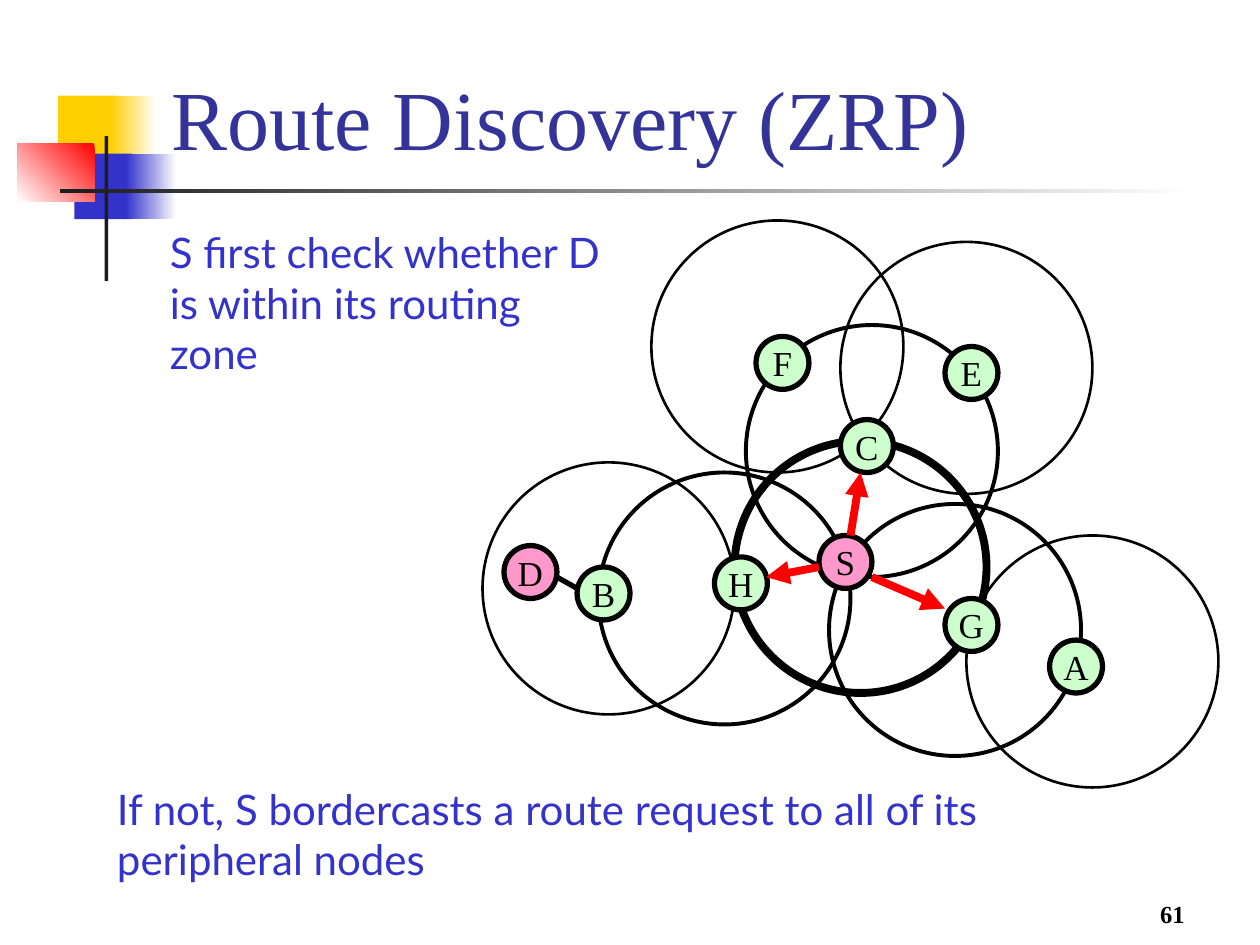
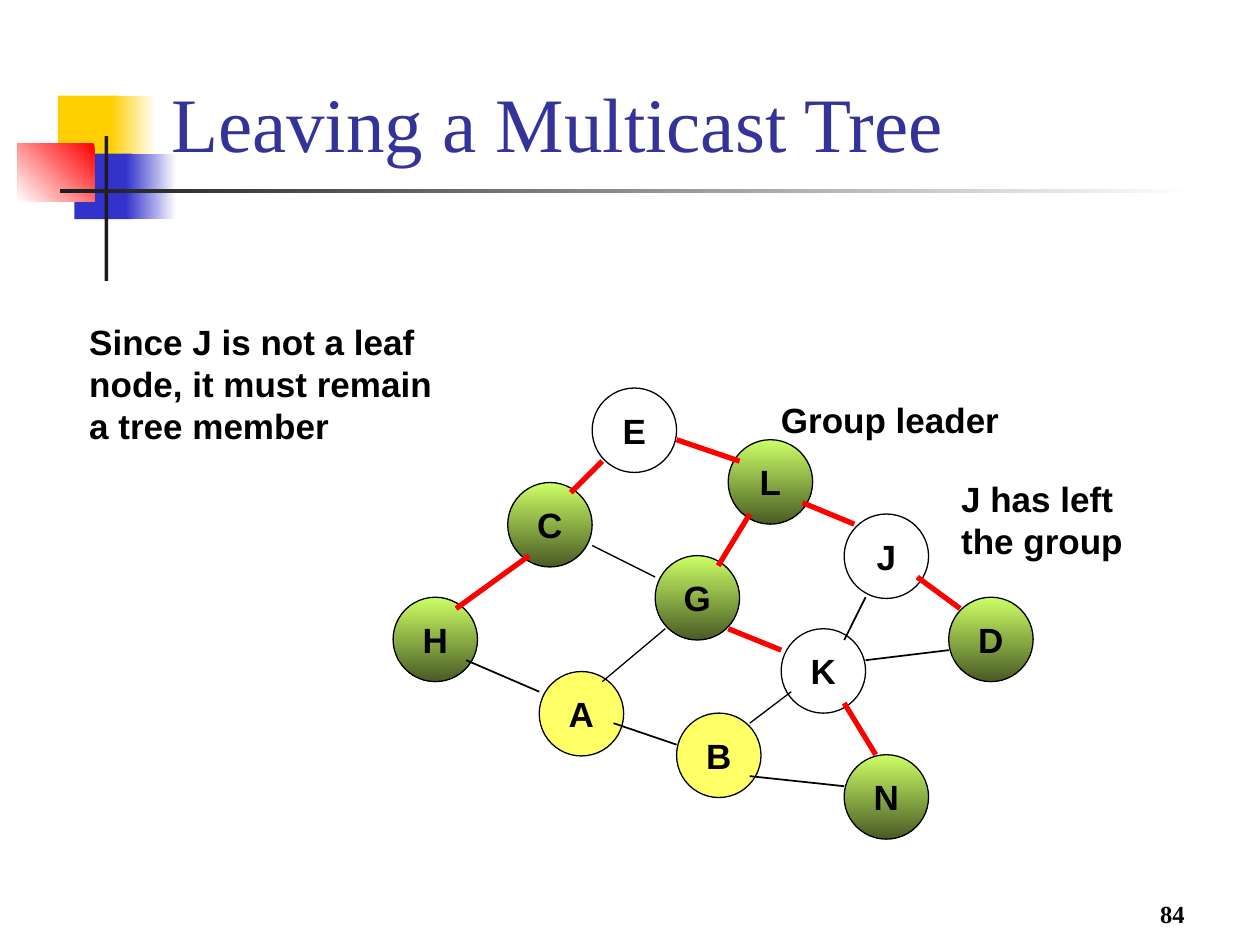
"""Two slides on ad hoc routing: zone route discovery and leaving a multicast tree."""
from dataclasses import dataclass

from lxml import etree
from pptx import Presentation
from pptx.dml.color import RGBColor
from pptx.enum.shapes import MSO_CONNECTOR, MSO_SHAPE
from pptx.enum.text import MSO_ANCHOR, PP_ALIGN
from pptx.oxml.ns import qn
from pptx.util import Inches, Pt

RECT, OVAL = MSO_SHAPE.RECTANGLE, MSO_SHAPE.OVAL
STRAIGHT = MSO_CONNECTOR.STRAIGHT
TOP, MIDDLE, BOTTOM = MSO_ANCHOR.TOP, MSO_ANCHOR.MIDDLE, MSO_ANCHOR.BOTTOM
LEFT, CENTER, RIGHT = PP_ALIGN.LEFT, PP_ALIGN.CENTER, PP_ALIGN.RIGHT


@dataclass(frozen=True)
class Gradient:
    """Two colours blended along a clockwise angle."""
    start: str
    end: str
    angle: int


Fill = str | Gradient | None


@dataclass(frozen=True)
class TextStyle:
    """Font of a whole text box."""
    font: str
    size: int
    color: str
    bold: bool = False


@dataclass(frozen=True)
class Theme:
    """Colours and type styles of the deck."""
    yellow: str = "FFCF01"
    blue: str = "3333CC"
    red: str = "FF0000"
    dark: str = "1C1C1C"
    white: str = "FFFFFF"
    black: str = "000000"
    pink: str = "FF99CC"
    mint: str = "CCFFCC"
    lemon: str = "FFFF66"
    member: Gradient = Gradient("CCFF66", "495B24", 90)
    title: TextStyle = TextStyle("Times New Roman", 48, "333399")
    long_title: TextStyle = TextStyle("Times New Roman", 44, "333399")
    body: TextStyle = TextStyle("Lato", 24, "3333CC")
    zone_node: TextStyle = TextStyle("Times New Roman", 20, "000000")
    tree_text: TextStyle = TextStyle("Arial", 20, "000000", True)
    number: TextStyle = TextStyle("Times New Roman", 14, "000000", True)


T = Theme()


@dataclass(frozen=True)
class Box:
    """Left, top, width and height in inches."""
    x: float
    y: float
    w: float
    h: float


@dataclass(frozen=True)
class Band:
    """One bar of the title ornament."""
    box: Box
    fill: Fill


@dataclass(frozen=True)
class Ring:
    """Radio range of one node."""
    x: float
    y: float
    weight: float


@dataclass(frozen=True)
class Node:
    """Lettered network node."""
    name: str
    x: float
    y: float
    fill: Fill


@dataclass(frozen=True)
class NodeStyle:
    """Look that the nodes of one diagram share."""
    size: float
    weight: float
    text: TextStyle


@dataclass(frozen=True)
class Link:
    """Straight link between two points."""
    x1: float
    y1: float
    x2: float
    y2: float
    color: str = T.black
    weight: float = 1
    arrow: bool = False


BANDS = [
    Band(Box(0.46, 0.76, 0.48, 0.52), T.yellow),
    Band(Box(0.88, 0.76, 0.36, 0.52), Gradient(T.white, T.yellow, 180)),
    Band(Box(0.59, 1.22, 0.46, 0.52), T.blue),
    Band(Box(1, 1.22, 0.4, 0.52), Gradient(T.white, T.blue, 180)),
    Band(Box(0.14, 1.14, 0.61, 0.46), Gradient(T.red, T.white, 135)),
    Band(Box(0.83, 1.08, 0.03, 1.15), T.dark),
    Band(Box(0.48, 1.5, 9, 0.03), Gradient(T.white, T.dark, 180)),
]
TITLE_BOX = Box(1.26, 0.13, 8.52, 1.25)
NUMBER_BOX = Box(7.42, 6.92, 2.08, 0.5)

RING_SIZE = 2
RINGS = [
    Ring(5.17, 1.75, 1.5), Ring(6.67, 1.92, 1.5), Ring(5.92, 2.58, 2.25),
    Ring(5.83, 3.5, 4.5), Ring(7.67, 4.25, 1.5), Ring(3.83, 3.67, 1.5),
    Ring(4.75, 3.75, 2.25), Ring(6.58, 4, 2.25),
]
ZONE_STYLE = NodeStyle(0.42, 3, T.zone_node)
ZONE_NODES = [
    Node("S", 6.5, 4.25, T.pink), Node("E", 7.5, 2.75, T.mint),
    Node("F", 6, 2.67, T.mint), Node("A", 8.33, 5.08, T.mint),
    Node("G", 7.5, 4.75, T.mint), Node("D", 4, 4.33, T.pink),
    Node("C", 6.67, 3.33, T.mint), Node("B", 4.58, 4.5, T.mint),
    Node("H", 5.67, 4.42, T.mint),
]
ZONE_LINKS = [
    Link(4.42, 4.58, 4.58, 4.67, weight=3),
    Link(6.5, 4.5, 6.08, 4.58, T.red, 4.5, True),
    Link(6.92, 4.58, 7.5, 4.83, T.red, 4.5, True),
    Link(6.75, 4.25, 6.83, 3.75, T.red, 4.5, True),
]

TREE_STYLE = NodeStyle(0.67, 0.75, T.tree_text)
TREE_NODES = [
    Node("E", 4.7, 3.08, None), Node("L", 5.78, 3.49, T.member),
    Node("H", 3.12, 4.74, T.member), Node("J", 6.7, 4.08, None),
    Node("D", 7.53, 4.74, T.member), Node("C", 4.03, 3.83, T.member),
    Node("G", 5.2, 4.41, T.member), Node("A", 4.28, 5.33, T.lemon),
    Node("B", 5.37, 5.66, T.lemon), Node("K", 6.2, 4.99, None),
    Node("N", 6.7, 5.99, T.member),
]
TREE_LINKS = [
    Link(4.2, 4.41, 3.62, 4.83, T.red, 3),
    Link(4.78, 3.66, 4.53, 3.91, T.red, 3),
    Link(5.37, 3.49, 5.87, 3.66, T.red, 3),
    Link(5.95, 4.08, 5.7, 4.49, T.red, 3),
    Link(6.37, 3.99, 6.78, 4.16, T.red, 3),
    Link(5.78, 4.99, 6.2, 5.16, T.red, 3),
    Link(7.28, 4.58, 7.62, 4.83, T.red, 3),
    Link(6.95, 5.99, 6.7, 5.58, T.red, 3),
    Link(4.7, 4.33, 5.2, 4.58, weight=0.75),
    Link(5.28, 4.99, 4.78, 5.41, weight=0.75),
    Link(6.28, 5.49, 5.95, 5.74, weight=0.75),
    Link(3.7, 5.24, 4.28, 5.49),
    Link(7.53, 5.16, 6.87, 5.24),
    Link(5.37, 5.91, 4.87, 5.74),
    Link(5.95, 6.16, 6.7, 6.24),
    Link(6.87, 4.74, 6.7, 5.08),
]


def inches(box: Box) -> tuple:
    """Give a box as four lengths."""
    return Inches(box.x), Inches(box.y), Inches(box.w), Inches(box.h)


def paint(fill, value: Fill) -> None:
    """Apply no fill, a plain colour or a gradient."""
    if value is None:
        fill.background()
    elif isinstance(value, Gradient):
        fill.gradient()
        fill.gradient_angle = 360 - value.angle
        for stop, color in zip(fill.gradient_stops, (value.start, value.end)):
            stop.color.rgb = RGBColor.from_string(color)
    else:
        fill.solid()
        fill.fore_color.rgb = RGBColor.from_string(value)


def add_shape(s, kind, box: Box, fill: Fill, weight: float = 0):
    """Draw a shape, outlined in black when it has a line weight."""
    sp = s.shapes.add_shape(kind, *inches(box))
    sp.shadow.inherit = False
    paint(sp.fill, fill)
    paint(sp.line.fill, T.black if weight else None)
    if weight:
        sp.line.width = Pt(weight)
    return sp


def write(sp, text: str, style: TextStyle, anchor=TOP, align=LEFT, wrap: bool = True) -> None:
    """Set text, one paragraph a line, in one style."""
    tf = sp.text_frame
    tf.text = text
    tf.word_wrap = wrap
    tf.vertical_anchor = anchor
    for p in tf.paragraphs:
        p.alignment = align
        p.font.name = style.font
        p.font.size = Pt(style.size)
        p.font.bold = style.bold
        p.font.color.rgb = RGBColor.from_string(style.color)


def add_text(s, box: Box, text: str, style: TextStyle, anchor=TOP, align=LEFT,
             wrap: bool = True) -> None:
    """Add a text box."""
    write(s.shapes.add_textbox(*inches(box)), text, style, anchor, align, wrap)


def add_nodes(s, nodes: list[Node], style: NodeStyle) -> None:
    """Draw the lettered nodes of a diagram."""
    for node in nodes:
        sp = add_shape(s, OVAL, Box(node.x, node.y, style.size, style.size),
                       node.fill, style.weight)
        write(sp, node.name, style.text, MIDDLE, CENTER, False)


def add_links(s, links: list[Link]) -> None:
    """Draw the links of a diagram."""
    for link in links:
        cx = s.shapes.add_connector(STRAIGHT, Inches(link.x1), Inches(link.y1),
                                    Inches(link.x2), Inches(link.y2))
        cx.line.width = Pt(link.weight)
        paint(cx.line.fill, link.color)
        sp_pr = cx.element.spPr
        if link.arrow:
            etree.SubElement(sp_pr.find(qn("a:ln")), qn("a:tailEnd"), type="triangle")
        etree.SubElement(sp_pr, qn("a:effectLst"))


def add_slide(prs, title: str, style: TextStyle, number: int):
    """Start a slide with ornament, title and page number."""
    s = prs.slides.add_slide(prs.slide_layouts[6])
    for band in BANDS:
        add_shape(s, RECT, band.box, band.fill)
    add_text(s, TITLE_BOX, title, style, BOTTOM)
    add_text(s, NUMBER_BOX, str(number), T.number, BOTTOM, RIGHT)
    return s


def build_discovery(prs) -> None:
    """Show a source sending its request to the zone border."""
    s = add_slide(prs, "Route Discovery (ZRP)", T.title, 61)
    for ring in RINGS:
        add_shape(s, OVAL, Box(ring.x, ring.y, RING_SIZE, RING_SIZE), None, ring.weight)
    add_nodes(s, ZONE_NODES, ZONE_STYLE)
    add_links(s, ZONE_LINKS)
    add_text(s, Box(1.25, 1.75, 3.75, 1.3),
             "S first check whether D is within its routing zone", T.body)
    add_text(s, Box(0.83, 6.17, 7.42, 0.9),
             "If not, S bordercasts a route request to all of its peripheral nodes", T.body)


def build_tree(prs) -> None:
    """Show a multicast tree after one member has left."""
    s = add_slide(prs, "Leaving a Multicast Tree", T.long_title, 84)
    add_nodes(s, TREE_NODES, TREE_STYLE)
    add_links(s, TREE_LINKS)
    for box, text in (
        (Box(6.1, 3.11, 1.93, 0.44), "Group leader"),
        (Box(7.53, 3.74, 1.48, 0.77), "J has left\nthe group"),
        (Box(0.61, 2.49, 2.92, 1.1),
         "Since J is not a leaf\nnode, it must remain\na tree member"),
    ):
        add_text(s, box, text, T.tree_text, MIDDLE, wrap=False)


def main() -> None:
    """Build and save the deck."""
    prs = Presentation()
    prs.slide_width, prs.slide_height = Inches(10), Inches(7.5)
    build_discovery(prs)
    build_tree(prs)
    prs.save("out.pptx")


if __name__ == "__main__":
    main()
